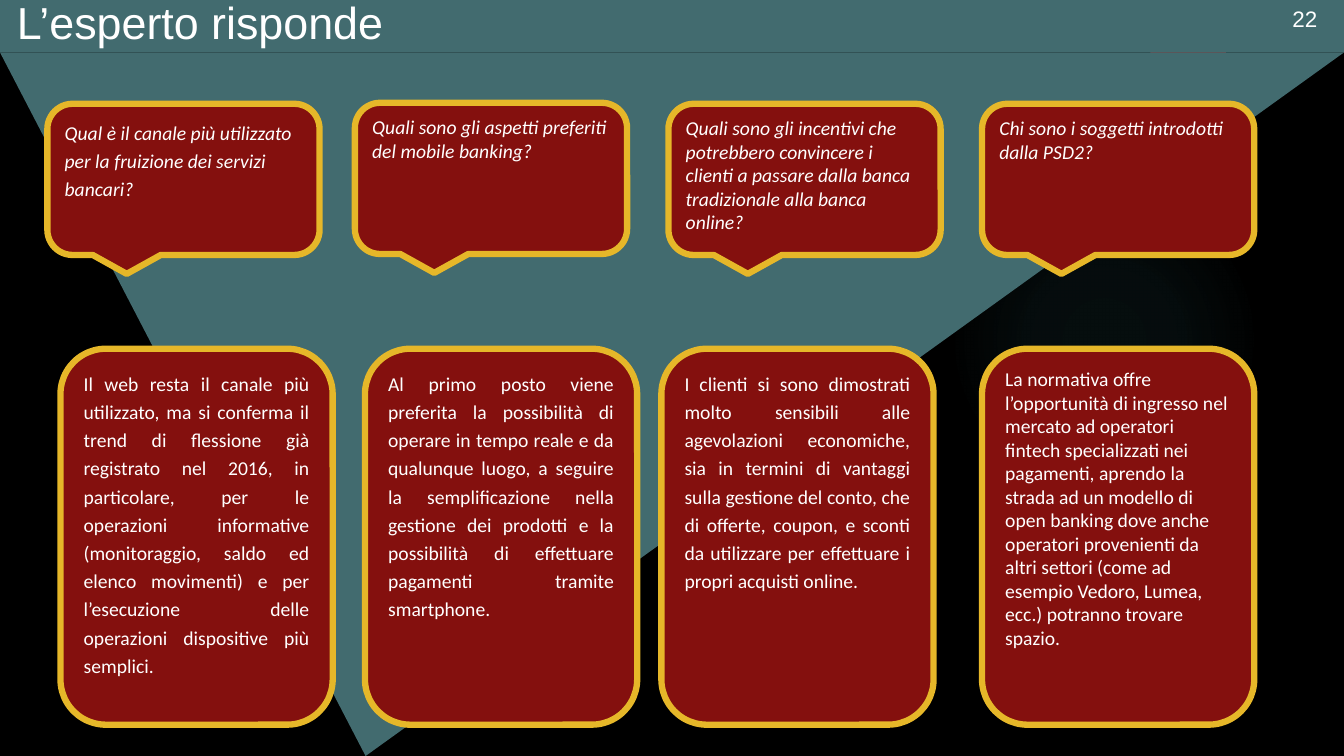
from pptx import Presentation
from pptx.dml.color import RGBColor
from pptx.enum.shapes import MSO_SHAPE
from pptx.enum.text import MSO_ANCHOR, PP_ALIGN
from pptx.oxml import parse_xml
from pptx.oxml.ns import nsdecls
from pptx.util import Inches, Pt

RECT = MSO_SHAPE.RECTANGLE
ELLIPSE = MSO_SHAPE.OVAL
TRIANGLE = MSO_SHAPE.ISOSCELES_TRIANGLE
CALLOUT = MSO_SHAPE.ROUNDED_RECTANGULAR_CALLOUT
ROUNDED = MSO_SHAPE.ROUNDED_RECTANGLE
TOP = MSO_ANCHOR.TOP
LEFT, JUSTIFY = PP_ALIGN.LEFT, PP_ALIGN.JUSTIFY

COLORS = {
    "black": "000000",
    "white": "FFFFFF",
    "teal": "426B6F",
    "glow": "50B9C1",
    "ribbon": "B01513",
    "card": "84100E",
    "gold": "E6B729",
}

QUESTIONS = [
    (0.47, 1.03, 1.2, "Qual è il canale più utilizzato per la fruizione dei servizi bancari?"),
    (3.52, 1.02, 1.0, "Quali sono gli aspetti preferiti del mobile banking?"),
    (6.63, 1.03, 1.0, "Quali sono gli incentivi che potrebbero convincere i clienti a passare "
                      "dalla banca tradizionale alla banca online?"),
    (9.74, 1.03, 1.0, "Chi sono i soggetti introdotti dalla PSD2?"),
]

ANSWERS = [
    (0.6, JUSTIFY, 1.2,
     "Il web resta il canale più utilizzato, ma si conferma il trend di flessione già "
     "registrato nel 2016, in particolare, per le operazioni informative (monitoraggio, "
     "saldo ed elenco movimenti) e per l’esecuzione delle operazioni dispositive più semplici."),
    (3.62, JUSTIFY, 1.2,
     "Al primo posto viene preferita la possibilità di operare in tempo reale e da qualunque "
     "luogo, a seguire la semplificazione nella gestione dei prodotti e la possibilità di "
     "effettuare pagamenti tramite smartphone."),
    (6.56, JUSTIFY, 1.2,
     "I clienti si sono dimostrati molto sensibili alle agevolazioni economiche, sia in "
     "termini di vantaggi sulla gestione del conto, che di offerte, coupon, e sconti da "
     "utilizzare per effettuare i propri acquisti online."),
    (9.74, LEFT, 1.0,
     "La normativa offre l’opportunità di ingresso nel mercato ad operatori fintech "
     "specializzati nei pagamenti, aprendo la strada ad un modello di open banking dove anche "
     "operatori provenienti da altri settori (come ad esempio Vedoro, Lumea, ecc.) potranno "
     "trovare spazio."),
]


def rgb(name):
    return RGBColor.from_string(COLORS[name])


def write(sp, text, font="Calibri", size=14, italic=False, align=LEFT, spacing=1.0):
    tf = sp.text_frame
    tf.word_wrap = True
    tf.vertical_anchor = TOP
    p = tf.paragraphs[0]
    p.alignment = align
    p.line_spacing = spacing
    r = p.add_run()
    r.text = text
    r.font.name = font
    r.font.size = Pt(size)
    r.font.italic = italic
    r.font.color.rgb = rgb("white")


class Deck:
    def __init__(self):
        self.prs = Presentation()
        self.prs.slide_width = Inches(13.33)
        self.prs.slide_height = Inches(7.5)
        self.s = self.prs.slides.add_slide(self.prs.slide_layouts[6])
        fill = self.s.background.fill
        fill.solid()
        fill.fore_color.rgb = rgb("black")

    def shape(self, kind, x, y, w, h, fill, line=None):
        sp = self.s.shapes.add_shape(kind, Inches(x), Inches(y), Inches(w), Inches(h))
        sp.shadow.inherit = False
        sp.fill.solid()
        sp.fill.fore_color.rgb = rgb(fill)
        if line:
            sp.line.color.rgb = rgb(line)
            sp.line.width = Pt(4.5)
        else:
            sp.line.fill.background()
        return sp

    def glow(self, x, y, size):
        sp = self.shape(ELLIPSE, x, y, size, size, "glow")
        stops = "".join(
            f'<a:gs pos="{pos * 1000}"><a:srgbClr val="{COLORS["glow"]}">'
            f'<a:alpha val="{alpha * 1000}"/></a:srgbClr></a:gs>'
            for pos, alpha in ((0, 7), (36, 6), (69, 0)))
        grad = parse_xml(
            f'<a:gradFill {nsdecls("a")}><a:gsLst>{stops}</a:gsLst><a:path path="circle">'
            '<a:fillToRect l="50000" t="50000" r="50000" b="50000"/></a:path></a:gradFill>')
        spPr = sp._element.spPr
        spPr.replace(spPr.find(".//{*}solidFill"), grad)

    def card(self, kind, x, y, h, text, **fmt):
        write(self.shape(kind, x, y, 2.7, h, "card", "gold"), text, **fmt)

    def text(self, x, y, w, h, text, **fmt):
        sp = self.s.shapes.add_textbox(Inches(x), Inches(y), Inches(w), Inches(h))
        write(sp, text, **fmt)


def main():
    deck = Deck()
    deck.glow(9.41, 1.83, 3.08)
    deck.shape(RECT, 11.41, 0, 0.75, 1.25, "ribbon")
    triangle = deck.shape(TRIANGLE, 0, 0.52, 13.33, 6.98, "teal")
    triangle.rotation = 180
    triangle.adjustments[0] = 0.728
    deck.shape(RECT, 0, 0, 13.33, 0.52, "teal")
    deck.text(12.72, 0, 0.55, 0.37, "22", font="Arial", size=16)
    deck.text(0.07, -0.1, 12.57, 0.37, "L’esperto risponde", font="Arial", size=32)
    for x, y, spacing, question in QUESTIONS:
        deck.card(CALLOUT, x, y, 1.5, question, italic=True, spacing=spacing)
    for x, align, spacing, answer in ANSWERS:
        deck.card(ROUNDED, x, 3.46, 3.73, answer, align=align, spacing=spacing)
    deck.prs.save("out.pptx")


if __name__ == "__main__":
    main()
